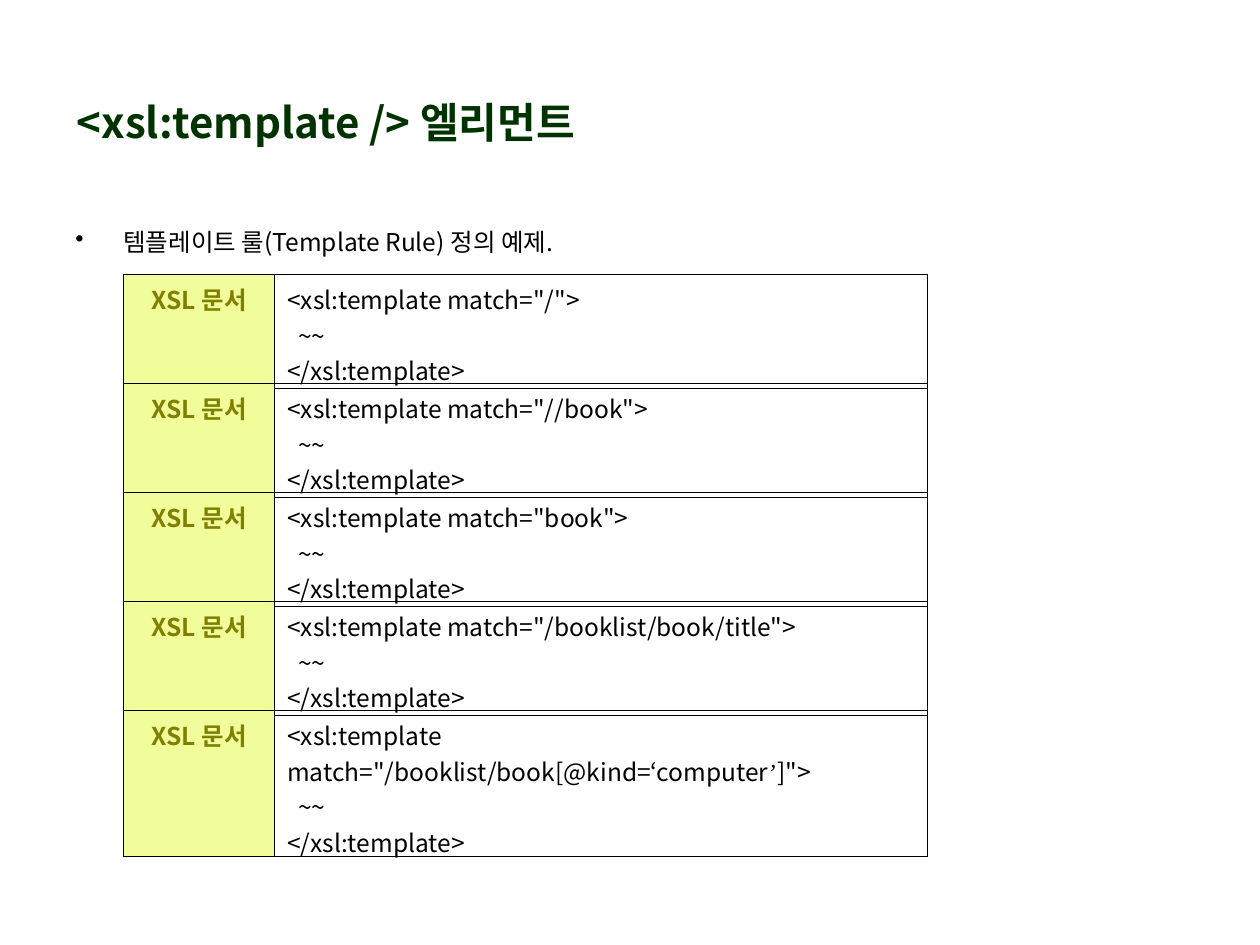
from lxml import etree
from pptx import Presentation
from pptx.dml.color import RGBColor
from pptx.enum import text as t
from pptx.oxml import ns
from pptx.util import Inches, Pt

FONT = "Noto Sans CJK KR"
QUOTE_FONT = "Times New Roman"
BLACK = RGBColor(0x00, 0x00, 0x00)
DARK_GREEN = RGBColor(0x00, 0x33, 0x00)
OLIVE = RGBColor(0x80, 0x80, 0x00)
LIME = RGBColor(0xF1, 0xFD, 0x9B)

MATCHES = ["/", "//book", "book", "/booklist/book/title",
           "/booklist/book[@kind=‘computer’]"]


def add_span(para, words, size=14, color=BLACK, bold=False, font=FONT):
    span = para.add_run()
    span.text = words
    span.font.size = Pt(size)
    span.font.bold = bold
    span.font.name = font
    span.font.color.rgb = color
    east_asian = etree.SubElement(span.font._element, ns.qn("a:ea"))
    east_asian.set("typeface", font)


def write(para, words, align=t.PP_ALIGN.LEFT, **style):
    para.alignment = align
    before, quote, after = words.partition("’")
    add_span(para, before, **style)
    if quote:
        add_span(para, quote, font=QUOTE_FONT, **style)
        add_span(para, after, **style)


def add_text_box(page, left, top, width, height, anchor):
    box = page.shapes.add_textbox(Inches(left), Inches(top), Inches(width), Inches(height))
    box.text_frame.word_wrap = True
    box.text_frame.vertical_anchor = anchor
    return box.text_frame.paragraphs[0]


def add_title(page, left, top, width, height):
    para = add_text_box(page, left, top, width, height, t.MSO_ANCHOR.MIDDLE)
    write(para, "<xsl:template /> 엘리먼트", size=24, color=DARK_GREEN, bold=True)


def add_bullet(page, left, top, width, height):
    para = add_text_box(page, left, top, width, height, t.MSO_ANCHOR.TOP)
    para.space_before = Pt(3.5)
    write(para, "템플레이트 룰(Template Rule) 정의 예제.")
    properties = para._p.get_or_add_pPr()
    properties.set("marL", str(Inches(0.38)))
    properties.set("indent", str(-Inches(0.38)))
    etree.SubElement(properties, ns.qn("a:buChar")).set("char", "•")


def add_borders(cell):
    properties = cell._tc.get_or_add_tcPr()
    for position, side in enumerate(("lnL", "lnR", "lnT", "lnB")):
        line = etree.Element(ns.qn(f"a:{side}"), w=str(Pt(0.45)))
        fill = etree.SubElement(line, ns.qn("a:solidFill"))
        etree.SubElement(fill, ns.qn("a:srgbClr")).set("val", str(BLACK))
        properties.insert(position, line)


def add_example(page, match, left, top, width, height):
    label_width = 1.2
    table = page.shapes.add_table(1, 2, Inches(left), Inches(top),
                                  Inches(width), Inches(height)).table
    table.first_row = table.horz_banding = False
    table.columns[0].width = Inches(label_width)
    table.columns[1].width = Inches(width - label_width)
    label, code = table.cell(0, 0), table.cell(0, 1)

    label.fill.solid()
    label.fill.fore_color.rgb = LIME
    write(label.text_frame.paragraphs[0], "XSL 문서", align=t.PP_ALIGN.CENTER,
          color=OLIVE, bold=True)

    code.fill.background()
    lines = [f'<xsl:template match="{match}">', "  ~~", "</xsl:template>"]
    frame = code.text_frame
    for index, line in enumerate(lines):
        write(frame.add_paragraph() if index else frame.paragraphs[0], line)

    for cell in (label, code):
        add_borders(cell)


def add_examples(page, left, top, width, pitch):
    for index, match in enumerate(MATCHES):
        height = 1.16 if index == len(MATCHES) - 1 else 0.9
        add_example(page, match, left, top + index * pitch, width, height)


def main():
    deck = Presentation()
    deck.slide_width, deck.slide_height = Inches(10), Inches(7.5)
    page = deck.slides.add_slide(deck.slide_layouts[6])
    add_bullet(page, 0.5, 1.75, 4.42, 4.95)
    add_examples(page, 0.98, 2.18, 6.38, pitch=0.865)
    add_title(page, 0.51, 0.74, 5.75, 0.46)
    deck.save("out.pptx")


if __name__ == "__main__":
    main()
